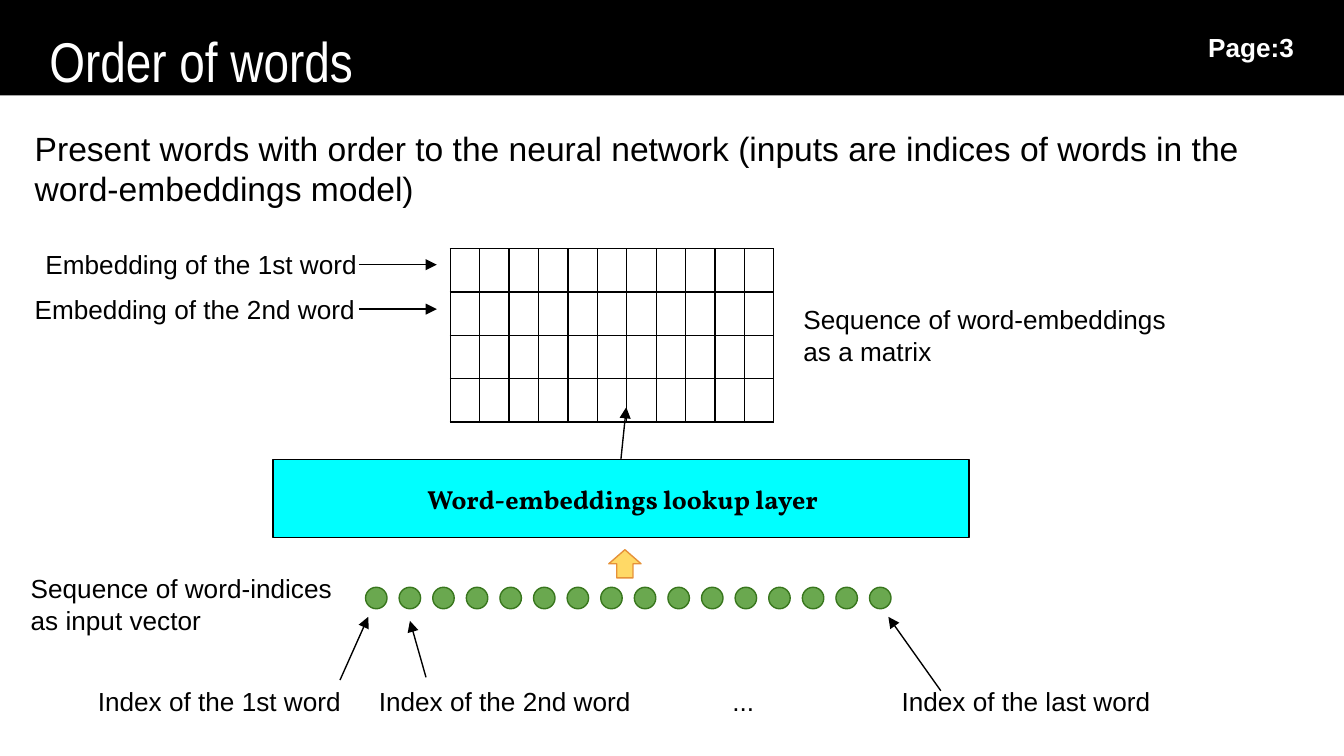
from dataclasses import dataclass

from lxml import etree
from pptx import Presentation
from pptx.dml.color import RGBColor
from pptx.enum.shapes import MSO_CONNECTOR, MSO_SHAPE
from pptx.enum.text import MSO_ANCHOR, PP_ALIGN
from pptx.oxml.ns import qn
from pptx.util import Inches, Pt

STRAIGHT = MSO_CONNECTOR.STRAIGHT
RECT, DOT, UP_ARROW = MSO_SHAPE.RECTANGLE, MSO_SHAPE.FLOWCHART_CONNECTOR, MSO_SHAPE.UP_ARROW
TOP, MIDDLE = MSO_ANCHOR.TOP, MSO_ANCHOR.MIDDLE
LEFT, CENTER = PP_ALIGN.LEFT, PP_ALIGN.CENTER
COLS, ROWS, UNIT = 100, 56.25, Inches(0.1)


@dataclass(frozen=True)
class Theme:
    """Colours, fonts and type sizes of the slide."""
    ink: str = "000000"
    paper: str = "FFFFFF"
    layer: str = "00FFFF"
    dot: str = "6AA84F"
    dot_edge: str = "38761D"
    arrow: str = "FFD966"
    arrow_edge: str = "E69138"
    line: float = 0.75
    title: tuple = (("name", "Arial Narrow"), ("size", Pt(30)))
    body: tuple = (("name", "Arial"), ("size", Pt(18)))
    label: tuple = (("name", "Arial"), ("size", Pt(14)))
    page: tuple = (("name", "Arial"), ("size", Pt(14)), ("bold", True))
    layer_name: tuple = (("name", "Vollkorn"), ("size", Pt(14)), ("bold", True))


T = Theme()


def grid(*values):
    """Turn grid units into slide lengths."""
    return [round(v * UNIT) for v in values]


def within(box, x, y, w, h):
    """Shift a box by the origin of the region that holds it."""
    return box[0] + x, box[1] + y, w, h


def add_text(slide, box, lines, style=T.label, color=T.ink, align=LEFT, anchor=TOP, tab=None):
    """Add a wrapped text box with one paragraph for each line."""
    tf = slide.shapes.add_textbox(*grid(*box)).text_frame
    margins = {f"margin_{side}": UNIT for side in ("left", "top", "right", "bottom")}
    for name, value in {"word_wrap": True, "vertical_anchor": anchor, **margins}.items():
        setattr(tf, name, value)
    for i, line in enumerate(lines):
        p = tf.add_paragraph() if i else tf.paragraphs[0]
        p.alignment = align
        if tab:
            tabs = etree.SubElement(p._p.get_or_add_pPr(), qn("a:tabLst"))
            etree.SubElement(tabs, qn("a:tab"), pos=str(grid(tab)[0]), algn="l")
        r = p.add_run()
        r.text = line
        for name, value in style:
            setattr(r.font, name, value)
        r.font.color.rgb = RGBColor.from_string(color)


def add_shape(slide, kind, box, fill, edge=None):
    """Add a flat shape, outlined when an edge colour is given."""
    sp = slide.shapes.add_shape(kind, *grid(*box))
    sp.shadow.inherit = False
    sp.fill.solid()
    sp.fill.fore_color.rgb = RGBColor.from_string(fill)
    if edge:
        sp.line.color.rgb = RGBColor.from_string(edge)
        sp.line.width = Pt(T.line)
    else:
        sp.line.fill.background()
    return sp


def add_arrow(slide, box, start, end):
    """Add an arrow between two points of a region."""
    x, y = box[:2]
    cxn = slide.shapes.add_connector(
        STRAIGHT, *grid(x + start[0], y + start[1], x + end[0], y + end[1]))
    cxn.line.color.rgb = RGBColor.from_string(T.ink)
    cxn.line.width = Pt(T.line)
    etree.SubElement(cxn.line._get_or_add_ln(), qn("a:tailEnd"), type="triangle")
    etree.SubElement(cxn._element.spPr, qn("a:effectLst"))
    return cxn


def add_borders(cell):
    """Draw a thin line on the four sides of a table cell."""
    tc_pr = cell._tc.get_or_add_tcPr()
    for i, side in enumerate(("lnL", "lnR", "lnT", "lnB")):
        ln = etree.Element(qn(f"a:{side}"), w=str(Pt(T.line)))
        fill = etree.SubElement(ln, qn("a:solidFill"))
        etree.SubElement(fill, qn("a:srgbClr"), val=T.ink)
        tc_pr.insert(i, ln)


def draw_header(slide, box):
    """Place the title band with its page number."""
    add_shape(slide, RECT, box, T.ink)
    add_text(slide, within(box, 2.7, 1, 49, 7.6), ["Order of words"], T.title, T.paper)
    add_text(slide, within(box, 88.9, 1.3, 10.2, 3.5), ["Page:3"], T.page, T.paper)


def draw_inputs(slide, box, count=16, pitch=2.5, size=1.6):
    """Place the row of word indices with its labels and arrows."""
    for i in range(count):
        add_shape(slide, DOT, within(box, 25.9 + i * pitch, 2.1, size, size), T.dot, T.dot_edge)
    add_shape(slide, UP_ARROW, within(box, 44, -0.7, 2.4, 2.1), T.arrow, T.arrow_edge)
    add_text(slide, within(box, 0, 0, 24.5, 5.8), ["Sequence of word-indices as input vector"])
    for x, width, text, tab in (
        (5, 21.6, "Index of the 1st word", None),
        (25.9, 39.2, "Index of the 2nd word\t...", 26.3),
        (64.8, 21.6, "Index of the last word", None),
    ):
        add_text(slide, within(box, x, 8.4, width, 5.8), [text], tab=tab)
    for start, end in (
        ((24, 9), (26.1, 4.3)),
        ((30.4, 8.8), (29.2, 4.6)),
        ((68.7, 9.8), (64.8, 4.3)),
    ):
        add_arrow(slide, box, start, end)


def draw_lookup(slide, box):
    """Place the lookup layer and return its rectangle."""
    sp = add_shape(slide, RECT, box, T.layer, T.ink)
    add_text(slide, within(box, 8.2, 0, 35.7, box[3]), ["Word-embeddings lookup layer"],
             T.layer_name, align=CENTER, anchor=MIDDLE)
    return sp


def draw_matrix(slide, box, rows=4, cols=11):
    """Place the embedding matrix with the labels on both sides."""
    table = slide.shapes.add_table(rows, cols, *grid(*box)).table
    table.first_row = table.horz_banding = False
    for column in table.columns:
        column.width = grid(box[2] / cols)[0]
    for row in table.rows:
        row.height = grid(box[3] / rows)[0]
    for cell in table.iter_cells():
        for side in ("left", "right", "top", "bottom"):
            setattr(cell, f"margin_{side}", 0)
        cell.fill.background()
        add_borders(cell)
    add_text(slide, within(box, 25.3, 3.1, 33.4, 5.8),
             ["Sequence of word-embeddings", "as a matrix"])
    for x, y, text in (
        (-31.1, 1.2, "Embedding of the 1st word"),
        (-31.9, 4.5, "Embedding of the 2nd word"),
    ):
        add_arrow(slide, box, (-6.8, y), (-1, y))
        add_text(slide, within(box, x, y - 2.2, 26.3, 5.8), [text])


def main():
    """Build the slide and save it."""
    prs = Presentation()
    prs.slide_width, prs.slide_height = grid(COLS, ROWS)
    slide = prs.slides.add_slide(prs.slide_layouts[6])
    lookup_box, matrix_box = (20.3, 34.2, 51.8, 5.8), (33.5, 18.5, 24.1, 12.9)
    draw_header(slide, (0, 0, COLS, 7.1))
    add_text(slide, (1.6, 8.5, 96.8, 8),
             ["Present words with order to the neural network "
              "(inputs are indices of words in the word-embeddings model)"], T.body)
    draw_inputs(slide, (1.3, 41.6, 86.4, 14.2))
    lookup = draw_lookup(slide, lookup_box)
    draw_matrix(slide, matrix_box)
    cxn = add_arrow(slide, lookup_box, (lookup_box[2] / 2, 0), (26.3, -3.9))
    cxn.begin_connect(lookup, 0)
    prs.save("out.pptx")


if __name__ == "__main__":
    main()
